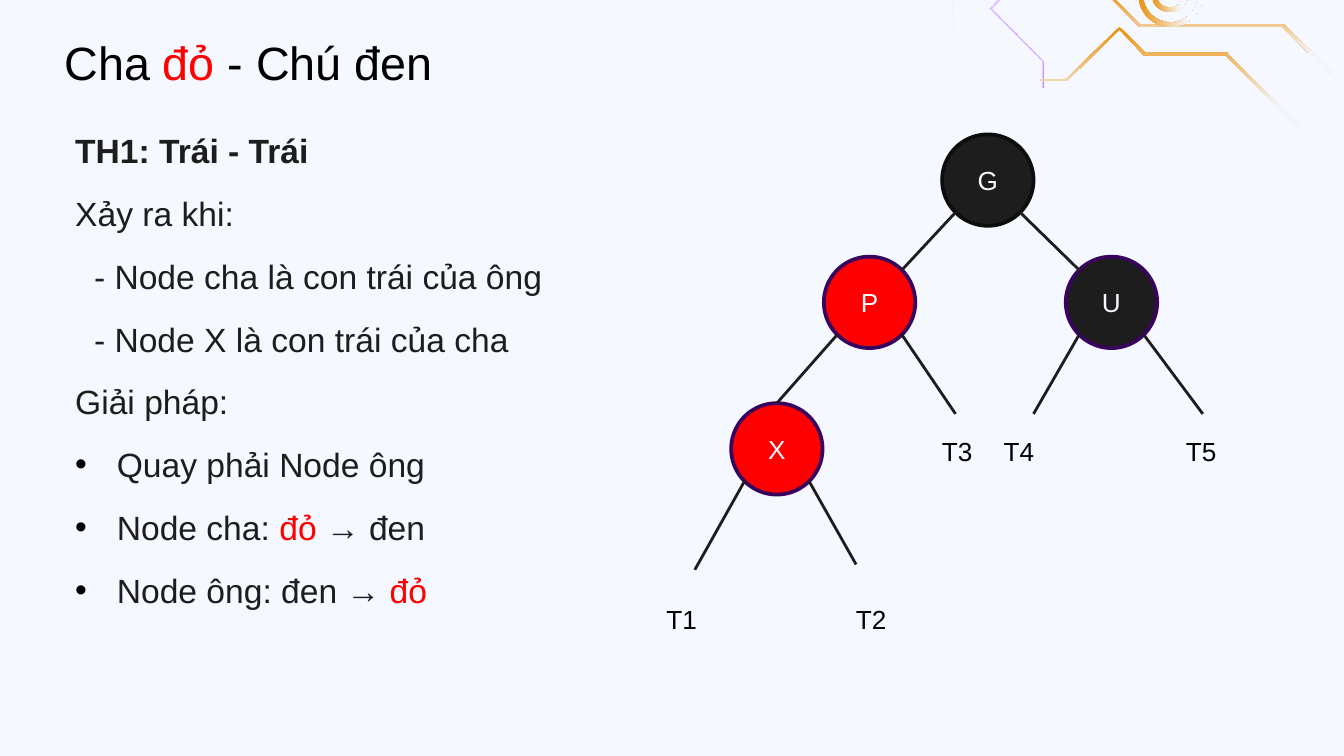
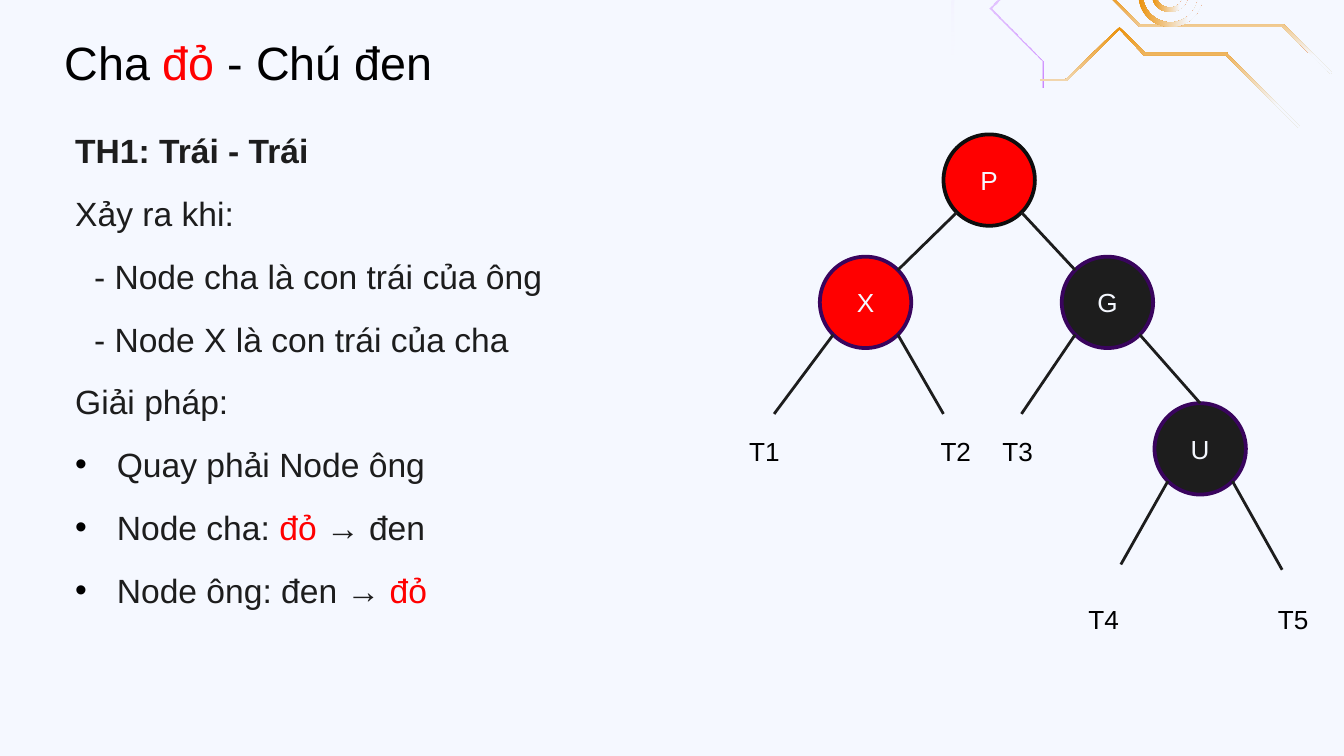
from lxml import etree
from pptx import Presentation
from pptx.dml.color import RGBColor
from pptx.enum.shapes import MSO_CONNECTOR, MSO_SHAPE
from pptx.enum.text import MSO_ANCHOR, MSO_AUTO_SIZE, PP_ALIGN
from pptx.oxml import parse_xml
from pptx.oxml.ns import nsdecls, qn
from pptx.util import Inches, Pt

OVAL, RING = MSO_SHAPE.OVAL, MSO_SHAPE.DONUT
LINE = MSO_CONNECTOR.STRAIGHT
TOP, MID = MSO_ANCHOR.TOP, MSO_ANCHOR.MIDDLE
LEFT, CENTER = PP_ALIGN.LEFT, PP_ALIGN.CENTER
GROW = MSO_AUTO_SIZE.SHAPE_TO_FIT_TEXT

FONT = "Arial"
PAPER, INK, BLACK, RED = "F5F8FF", "1D1D1D", "000000", "FF0000"
RIM, EDGE = "0D0D0D", "39045D"
GOLD = [(0, "EB9109", 100), (78, PAPER, 100), (100, PAPER, 100)]
VIOLET = [(0, "9900FF", 47), (100, "FFFFFF", 0)]

TRACES = [
    (VIOLET, 90, [(7.7, -1.69), (7.35, -1.33), (7.34, -1.33), (7.34, -0.26),
                  (7.08, 0), (7.08, 0.47), (7.1, 0.47), (7.1, 0),
                  (7.36, -0.26), (7.36, -1.32), (7.71, -1.68)]),
    (VIOLET, 270, [(8.1, -1.29), (7.56, -0.74), (7.55, -0.74), (7.55, -0.14),
                   (7.36, 0.06), (7.75, 0.45), (7.75, 0.65), (7.76, 0.65),
                   (7.76, 0.45), (7.38, 0.06), (7.57, -0.13), (7.57, -0.74),
                   (8.11, -1.28)]),
    (GOLD, 90, [(9.91, 0.54), (9.55, 0.18), (8.48, 0.18), (8.22, -0.08),
                (7.75, -0.08), (7.75, -0.06), (8.22, -0.06), (8.48, 0.2),
                (9.54, 0.2), (9.9, 0.55)]),
    (GOLD, 90, [(9.67, 0.94), (9.13, 0.4), (9.13, 0.39), (8.52, 0.39),
                (8.33, 0.2), (7.93, 0.59), (7.74, 0.59), (7.74, 0.6),
                (7.94, 0.6), (8.33, 0.22), (8.51, 0.41), (9.12, 0.41),
                (9.66, 0.95)]),
]
RINGS = [((8.47, -0.28, 0.48, 0.48), 0.07), ((8.57, -0.17, 0.27, 0.26), 0.13)]

TITLE = "Cha *đỏ* - Chú đen"
BODY = [
    ("TH1: Trái - Trái", "head"),
    ("Xảy ra khi:", "text"),
    ("- Node cha là con trái của ông", "dash"),
    ("- Node X là con trái của cha", "dash"),
    ("Giải pháp:", "text"),
    ("Quay phải Node ông", "dot"),
    ("Node cha: *đỏ *→ đen", "dot"),
    ("Node ông: đen → *đỏ*", "dot"),
]
INDENT = {"dash": (0.14, 0), "dot": (0.31, -0.31)}

SIZE, DIAG = 0.68, 0.24
SPOTS = [(0, 0), (-0.88, 0.91), (0.92, 0.91), (-1.57, 2)]
LEAVES = [
    (3, -2.18, 2.9, -2.27, 3.1, 0.44),
    (3, -0.98, 2.86, -0.86, 3.1, 0.44),
    (1, -0.24, 1.74, -0.22, 1.85, 0.44),
    (2, 0.34, 1.74, 0.24, 1.85, 0.44),
    (2, 1.6, 1.74, 1.63, 1.85, 0.51),
]
TREES = [
    (7.35, 1, [("G", INK), ("P", RED), ("U", INK), ("X", RED)]),
    (7.36, -1, [("P", RED), ("G", INK), ("X", RED), ("U", INK)]),
]


def rgb(code):
    """Turn a hex string into a colour."""
    return RGBColor.from_string(code)


def box(*vals):
    """Turn numbers into lengths in inches."""
    return [Inches(val) for val in vals]


def style(font, size, color, bold=False):
    """Format one font."""
    font.name, font.size, font.bold = FONT, Pt(size), bold
    font.color.rgb = rgb(color)


def write(para, text, size, color, bold=False):
    """Add runs to a paragraph, with starred parts in red."""
    for num, part in enumerate(text.split("*")):
        if part:
            run = para.add_run()
            run.text = part
            style(run.font, size, RED if num % 2 else color, bold)


def fade(shape, stops, angle):
    """Give a shape a gradient fill and no outline."""
    grad = parse_xml(f'<a:gradFill {nsdecls("a")} rotWithShape="1"><a:gsLst/>'
                     f'<a:lin ang="{angle * 60000}" scaled="0"/></a:gradFill>')
    for pos, code, alpha in stops:
        stop = etree.SubElement(grad[0], qn("a:gs"), pos=str(pos * 1000))
        color = etree.SubElement(stop, qn("a:srgbClr"), val=code)
        etree.SubElement(color, qn("a:alpha"), val=str(alpha * 1000))
    shape.element.spPr.append(grad)
    shape.line.fill.background()
    shape.shadow.inherit = False


def adorn(slide, layout):
    """Draw the corner traces and move them to the layout."""
    group = slide.shapes.add_group_shape()
    for stops, angle, points in TRACES:
        first, *rest = [box(*point) for point in points]
        pen = group.shapes.build_freeform(*first, scale=1)
        pen.add_line_segments(rest, close=True)
        fade(pen.convert_to_shape(), stops, angle)
    for area, width in RINGS:
        ring = group.shapes.add_shape(RING, *box(*area))
        ring.adjustments[0] = width
        fade(ring, GOLD, 0)
    for num, mark in enumerate(group.element.iter(qn("p:cNvPr")), 50):
        mark.set("id", str(num))
    layout.shapes.element.append(group.element)


def place(shape, *area):
    """Move a placeholder and return its text frame."""
    shape.left, shape.top, shape.width, shape.height = box(*area)
    frame = shape.text_frame
    frame.word_wrap, frame.vertical_anchor = True, TOP
    frame.auto_size = GROW
    return frame


def head(slide):
    """Fill the title."""
    frame = place(slide.shapes.title, 0.38, 0.2, 3.19, 0.52)
    para = frame.paragraphs[0]
    para.alignment = LEFT
    write(para, TITLE, 25, BLACK)


def case(slide):
    """Fill the body with the case and its cure."""
    frame = place(slide.placeholders[1], 0.46, 0.92, 3.76, 3.7)
    for num, (text, kind) in enumerate(BODY):
        para = frame.add_paragraph() if num else frame.paragraphs[0]
        para.space_before, para.space_after = Pt(6 if num else 0), Pt(6)
        props = para._p.get_or_add_pPr()
        left, hang = box(*INDENT.get(kind, (0, 0)))
        props.set("marL", str(left))
        props.set("indent", str(hang))
        if kind == "dot":
            color = etree.SubElement(props, qn("a:buClr"))
            etree.SubElement(color, qn("a:srgbClr"), val=BLACK)
            etree.SubElement(props, qn("a:buFont"), typeface=FONT)
            etree.SubElement(props, qn("a:buChar"), char="•")
        else:
            etree.SubElement(props, qn("a:buNone"))
        write(para, text, 18, INK, kind == "head")


def node(slide, x, y, name, fill, rim):
    """Draw a tree node around its centre."""
    half = SIZE / 2
    shape = slide.shapes.add_shape(OVAL, *box(x - half, y - half, SIZE, SIZE))
    shape.shadow.inherit = False
    shape.fill.solid()
    shape.fill.fore_color.rgb = rgb(fill)
    shape.line.color.rgb, shape.line.width = rgb(rim), Pt(2)
    frame = shape.text_frame
    frame.text, frame.vertical_anchor = name, MID
    frame.paragraphs[0].alignment = CENTER
    style(frame.paragraphs[0].runs[0].font, 14, PAPER)
    return shape


def link(slide, x, y, to_x, to_y):
    """Draw one branch."""
    line = slide.shapes.add_connector(LINE, *box(x, y, to_x, to_y))
    line.line.color.rgb, line.line.width = rgb(INK), Pt(1.5)
    etree.SubElement(line.element.spPr, qn("a:effectLst"))
    return line


def label(slide, x, y, width, name):
    """Name a subtree, centred on x."""
    text = slide.shapes.add_textbox(*box(x - width / 2, y, width, 0.34))
    frame = text.text_frame
    frame.word_wrap, frame.auto_size = True, GROW
    frame.text = name
    style(frame.paragraphs[0].runs[0].font, 14, BLACK)


def tree(slide, x, y, side, names):
    """Draw a tree from its root centre; side -1 mirrors it."""
    spots = [(x + side * dx, y + dy) for dx, dy in SPOTS]
    nodes = [node(slide, *spot, *name, EDGE if num else RIM)
             for num, (spot, name) in enumerate(zip(spots, names))]
    for (px, py), (cx, cy) in ((spots[0], spots[1]), (spots[0], spots[2])):
        step = DIAG if cx > px else -DIAG
        link(slide, px + step, py + DIAG, cx - step, cy - DIAG)
    px, py = spots[1]
    low_x, low_y = spots[3]
    stem = link(slide, px - side * DIAG, py + DIAG, low_x, low_y - SIZE / 2)
    stem.end_connect(nodes[3], 0)
    for num, (up, tip, drop, mid, top, width) in enumerate(LEAVES[::side], 1):
        px, py = spots[up]
        end = x + side * tip
        step = DIAG if end > px else -DIAG
        link(slide, px + step, py + DIAG, end, y + drop)
        label(slide, x + side * mid, y + top, width, f"T{num}")


def main():
    """Build the deck."""
    deck = Presentation()
    deck.slide_width = Inches(10)
    deck.slide_height = deck.slide_width * 9 // 16
    layout = deck.slide_layouts[1]
    layout.background.fill.solid()
    layout.background.fill.fore_color.rgb = rgb(PAPER)
    for num, (x, side, names) in enumerate(TREES):
        slide = deck.slides.add_slide(layout)
        if not num:
            adorn(slide, layout)
        head(slide)
        case(slide)
        tree(slide, x, 1.34, side, names)
    deck.save("out.pptx")


if __name__ == "__main__":
    main()
